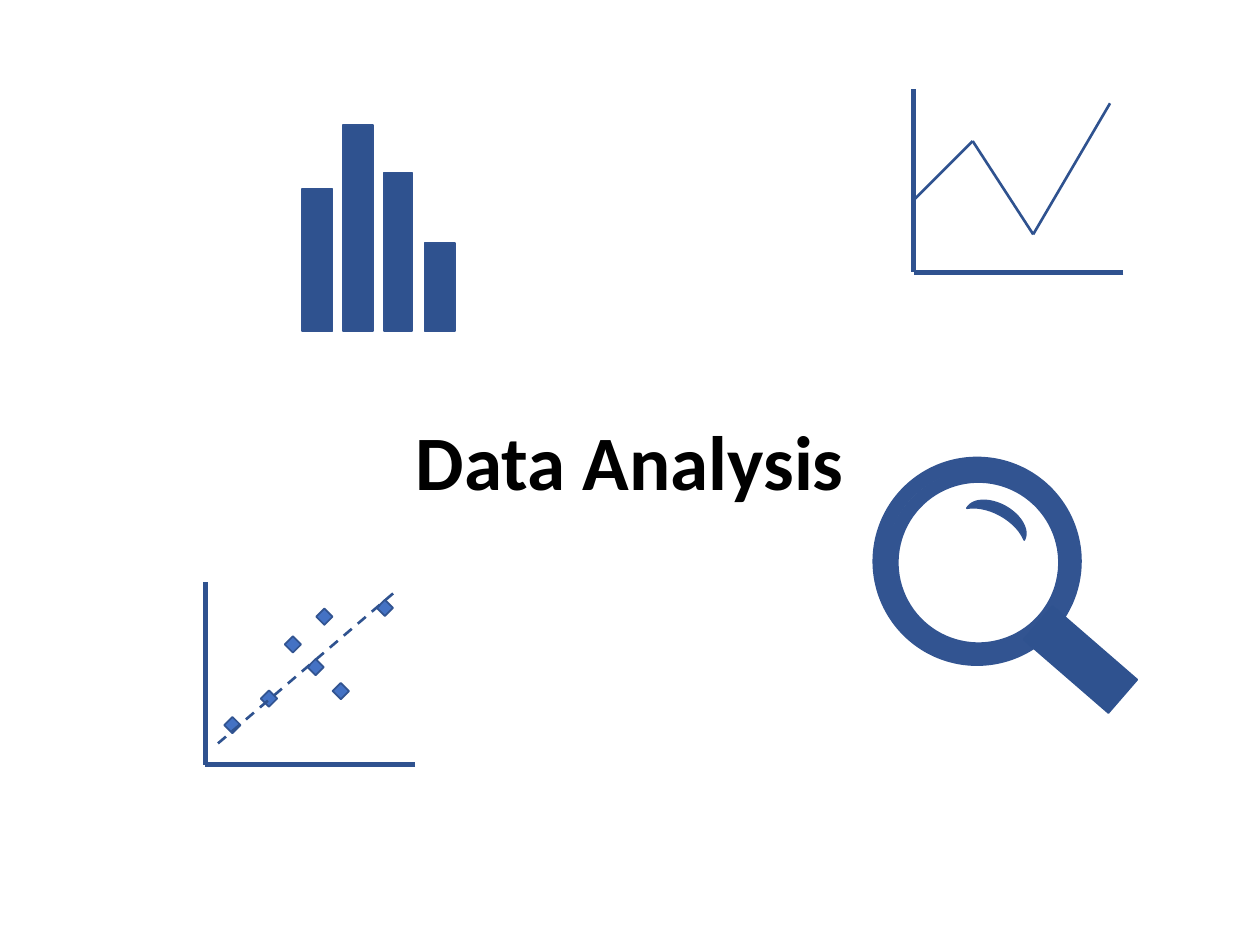
import dataclasses
import typing

import pptx
import pptx.dml.color
import pptx.enum.dml
import pptx.enum.shapes
import pptx.enum.text
import pptx.oxml.ns
import pptx.util
from lxml import etree

Kind = pptx.enum.shapes.MSO_SHAPE
Color = pptx.dml.color.RGBColor

NAVY = Color(0x2F, 0x52, 0x8F)
EDGE = Color(0x32, 0x54, 0x91)
BLUE = Color(0x44, 0x72, 0xC4)
BLACK = Color(0x00, 0x00, 0x00)

COLUMNS, ROWS = 100, 75
CELL = pptx.util.Inches(10) // COLUMNS


@dataclasses.dataclass(frozen=True)
class Figure:
    kind: Kind
    left: float
    top: float
    width: float
    height: float
    fill: typing.Optional[Color] = None
    edge: Color = EDGE
    weight: float = 1
    rotation: float = 0


class Point(typing.NamedTuple):
    column: float
    row: float


class Bar(typing.NamedTuple):
    left: float
    width: float
    height: float


LENS = [
    Figure(Kind.OVAL, 69.8, 36.8, 15.5, 15.5, weight=8, rotation=357.9),
    Figure(Kind.OVAL, 70.8, 37.8, 13.7, 13.7, weight=7.5, rotation=357.9),
    Figure(Kind.RECTANGLE, 81.3, 50.6, 8.9, 3.5, NAVY, NAVY, rotation=40.9),
    Figure(Kind.MOON, 78.6, 38.3, 1.6, 5.2, NAVY, rotation=119),
]
BAR_BASE = 26.3
BARS = [
    Bar(24, 2.4, 11.3),
    Bar(33.7, 2.4, 7),
    Bar(30.5, 2.2, 12.6),
    Bar(27.2, 2.4, 16.4),
]
MARKER = 1.3
MARKERS = [
    Point(24.4, 52.3),
    Point(22.6, 50.5),
    Point(20.7, 54.8),
    Point(26.4, 54.2),
    Point(25.1, 48.3),
    Point(17.8, 56.9),
    Point(29.9, 47.6),
]
SCATTER_ORIGIN = Point(16.3, 60.7)
TREND = [Point(17.3, 59), Point(31.2, 47.1)]
LINE_ORIGIN = Point(72.5, 21.6)
LINE_POINTS = [Point(72.5, 15.9), Point(77.2, 11.2), Point(82, 18.6), Point(88.1, 8.2)]
AXIS_WIDTH, AXIS_HEIGHT = 16.65, 14.5


def grid(value: float) -> int:
    return round(value * CELL)


def draw_figure(group: typing.Any, figure: Figure) -> None:
    shape = group.shapes.add_shape(
        figure.kind,
        *map(grid, (figure.left, figure.top, figure.width, figure.height)),
    )
    shape.shadow.inherit = False
    shape.rotation = figure.rotation
    if figure.fill is None:
        shape.fill.background()
    else:
        shape.fill.solid()
        shape.fill.fore_color.rgb = figure.fill
    shape.line.color.rgb = figure.edge
    shape.line.width = pptx.util.Pt(figure.weight)


def draw_path(
    group: typing.Any, points: list[Point], weight: float, dashed: bool = False
) -> None:
    for start, end in zip(points, points[1:]):
        line = group.shapes.add_connector(
            pptx.enum.shapes.MSO_CONNECTOR.STRAIGHT, *map(grid, (*start, *end))
        )
        line.line.color.rgb = NAVY
        line.line.width = pptx.util.Pt(weight)
        if dashed:
            line.line.dash_style = pptx.enum.dml.MSO_LINE.DASH
        properties = line._element.spPr
        etree.SubElement(properties, pptx.oxml.ns.qn("a:effectLst"))


def draw_axes(group: typing.Any, origin: Point) -> None:
    top = Point(origin.column, origin.row - AXIS_HEIGHT)
    right = Point(origin.column + AXIS_WIDTH, origin.row)
    draw_path(group, [top, origin], 3)
    draw_path(group, [right, origin], 3)


def draw_title(page: typing.Any, words: str) -> None:
    box = page.shapes.add_textbox(*map(grid, (8.2, 29.7, 83.6, 14.5)))
    frame = box.text_frame
    frame.word_wrap = True
    frame.vertical_anchor = pptx.enum.text.MSO_ANCHOR.MIDDLE
    frame.text = words
    para = frame.paragraphs[0]
    para.alignment = pptx.enum.text.PP_ALIGN.CENTER
    para.line_spacing = 0.9
    font = para.runs[0].font
    font.name = "Calibri"
    font.size = pptx.util.Pt(44)
    font.bold = True
    font.color.rgb = BLACK


def main() -> None:
    deck = pptx.Presentation()
    deck.slide_width = grid(COLUMNS)
    deck.slide_height = grid(ROWS)
    page = deck.slides.add_slide(deck.slide_layouts[6])

    magnifier = page.shapes.add_group_shape()
    for figure in LENS:
        draw_figure(magnifier, figure)

    bar_icon = page.shapes.add_group_shape()
    for bar in BARS:
        top = BAR_BASE - bar.height
        draw_figure(
            bar_icon,
            Figure(Kind.RECTANGLE, bar.left, top, bar.width, bar.height, NAVY),
        )

    scatter_icon = page.shapes.add_group_shape()
    draw_axes(scatter_icon, SCATTER_ORIGIN)
    for marker in MARKERS:
        draw_figure(scatter_icon, Figure(Kind.DIAMOND, *marker, MARKER, MARKER, BLUE))
    draw_path(scatter_icon, TREND, 1.5, dashed=True)

    line_icon = page.shapes.add_group_shape()
    draw_axes(line_icon, LINE_ORIGIN)
    draw_path(line_icon, LINE_POINTS, 1.5)

    draw_title(page, "Data Analysis")
    deck.save("out.pptx")


if __name__ == "__main__":
    main()
